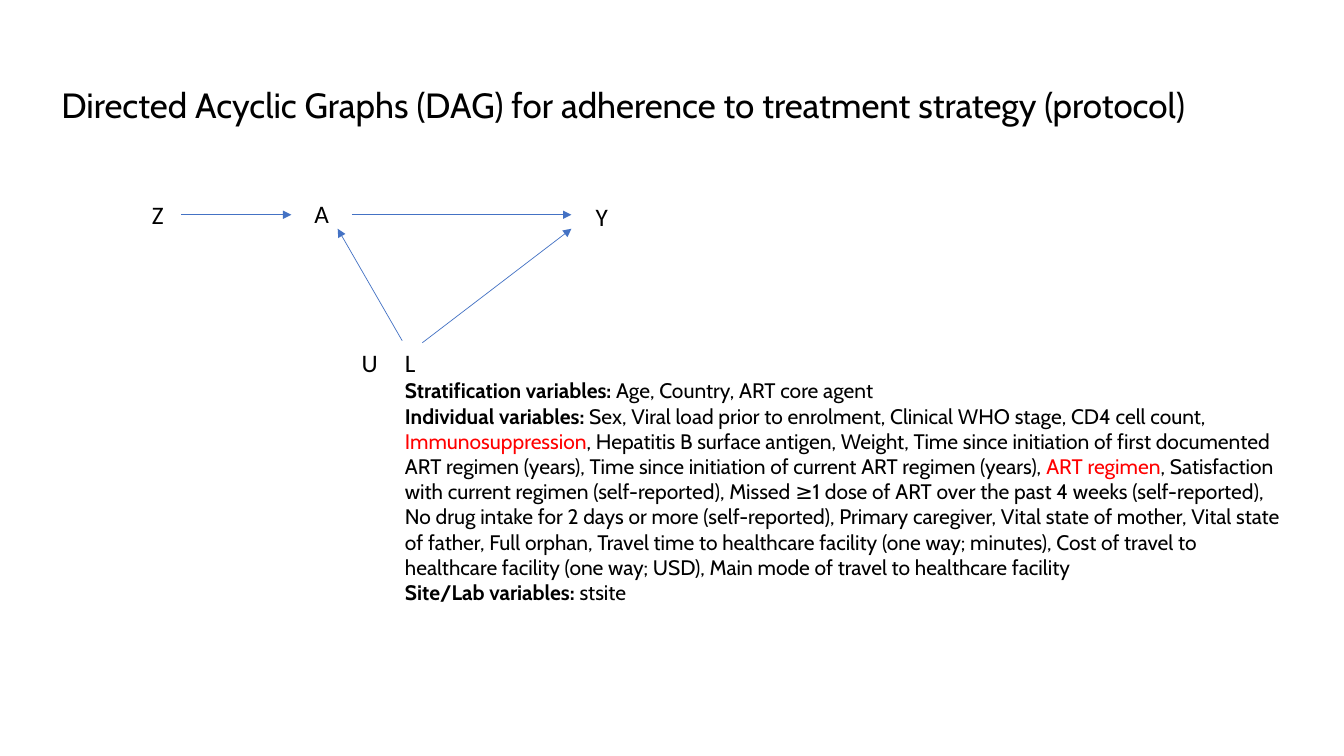
from pptx import Presentation
from pptx.util import Pt
from pptx.dml.color import RGBColor
from pptx.enum.shapes import MSO_CONNECTOR
from pptx.enum.text import MSO_ANCHOR
from pptx.oxml.ns import qn
from lxml import etree

COLORS = {"text": "000000", "alert": "FF0000", "arrow": "4472C4"}
TITLE = "Directed Acyclic Graphs (DAG) for adherence to treatment strategy (protocol)"

NODES = {
    "Z": (101.5, 139, 47.5, 73),
    "A": (217.5, 138.2, 47.5, 73),
    "Y": (418.3, 140.4, 47.5, 73),
    "U": (251.3, 244.8, 28, 73),
}
ARROWS = [
    ((129.6, 153.4), (208.1, 153.4)),
    ((251.3, 153.4), (408.2, 153.4)),
    ((301.7, 244.8), (408.2, 163.4)),
    ((287.3, 243.4), (241.2, 163.4)),
]
COVARIATES_BOX = (282.2, 244.8, 646.6, 214.6)
COVARIATES = [
    [("Stratification variables: ", "bold"), ("Age, Country, ART core agent ", "plain")],
    [
        ("Individual variables: ", "bold"),
        ("Sex, Viral load prior to enrolment, Clinical WHO stage, CD4 cell count, ", "plain"),
        ("Immunosuppression", "alert"),
        (", Hepatitis B surface antigen, Weight, Time since initiation of first documented "
         "ART regimen (years), Time since initiation of current ART regimen (years), ", "plain"),
        ("ART regimen", "alert"),
        (", Satisfaction with current regimen (self-reported), Missed ≥1 dose of ART over "
         "the past 4 weeks (self-reported), No drug intake for 2 days or more (self-reported), "
         "Primary caregiver, Vital state of mother, Vital state of father, Full orphan, "
         "Travel time to healthcare facility (one way; minutes), Cost of travel to healthcare "
         "facility (one way; USD), Main mode of travel to healthcare facility", "plain"),
    ],
    [("Site/Lab variables: ", "bold"), ("stsite", "plain")],
]


def add_run(paragraph, text, font, size, style="plain"):
    run = paragraph.add_run()
    run.text = text
    run.font.name = font
    run.font.size = Pt(size)
    run.font.bold = style == "bold"
    color = COLORS["alert" if style == "alert" else "text"]
    run.font.color.rgb = RGBColor.from_string(color)


def add_text_frame(box):
    frame = slide.shapes.add_textbox(*map(Pt, box)).text_frame
    frame.word_wrap = True
    return frame


def add_node(label, box):
    frame = add_text_frame(box)
    add_run(frame.paragraphs[0], label, "Calibri", 18)
    return frame


def add_arrow(start, end):
    arrow = slide.shapes.add_connector(MSO_CONNECTOR.STRAIGHT, *map(Pt, start + end))
    arrow.line.color.rgb = RGBColor.from_string(COLORS["arrow"])
    arrow.line.width = Pt(0.5)
    etree.SubElement(arrow.line._get_or_add_ln(), qn("a:tailEnd"), type="triangle")
    etree.SubElement(arrow._element.spPr, qn("a:effectLst"))


prs = Presentation()
prs.slide_width, prs.slide_height = Pt(960), Pt(540)
slide = prs.slides.add_slide(prs.slide_layouts[6])

covariates = add_node("L", COVARIATES_BOX)
for group in COVARIATES:
    paragraph = covariates.add_paragraph()
    for text, style in group:
        add_run(paragraph, text, "Cabin", 15, style)

for label, box in NODES.items():
    add_node(label, box)
for start, end in ARROWS:
    add_arrow(start, end)

title = add_text_frame((36.7, 24.5, 908, 104.4))
title.vertical_anchor = MSO_ANCHOR.MIDDLE
title.paragraphs[0].line_spacing = 0.9
add_run(title.paragraphs[0], TITLE, "Cabin", 25)

prs.save("out.pptx")
